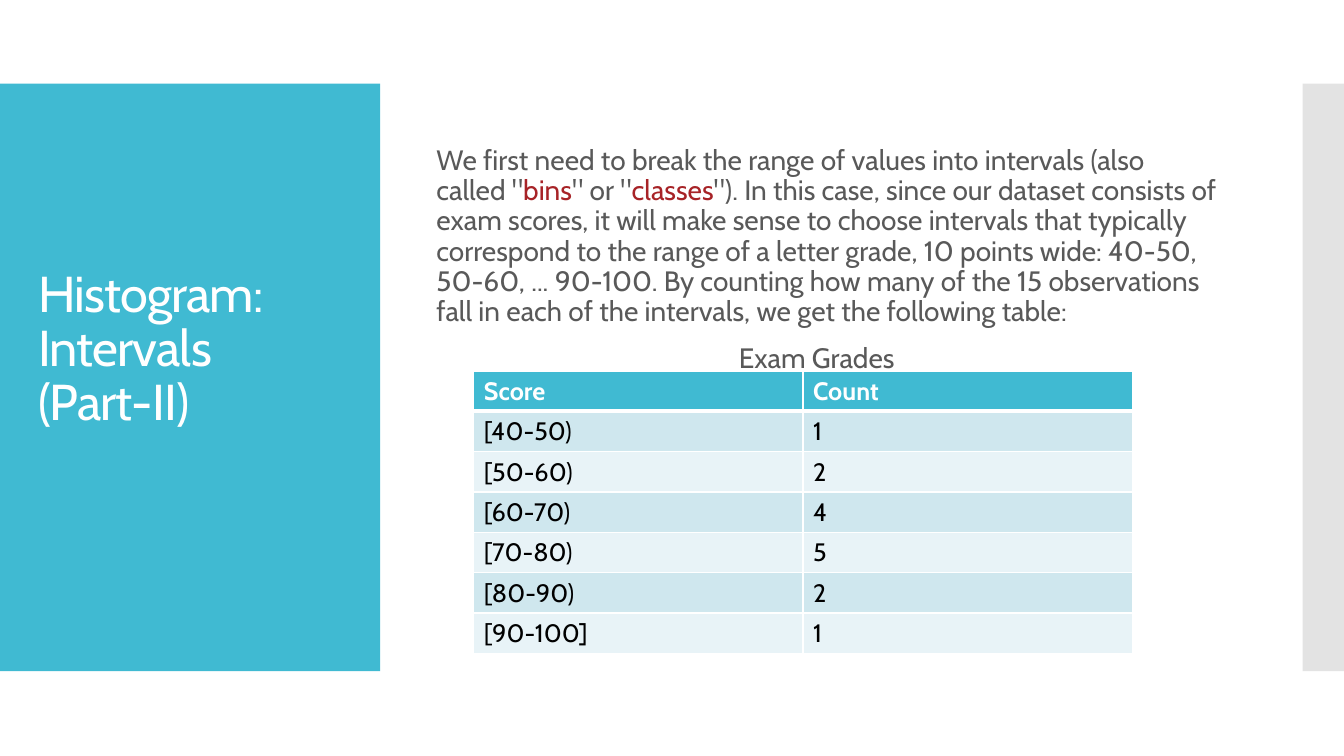
from lxml import etree
from pptx import Presentation
from pptx import util as u
from pptx.dml.color import RGBColor
from pptx.enum import shapes, text
from pptx.oxml.ns import qn

FONT = "Cabin"
TEAL, WHITE, BLACK = "40BAD2", "FFFFFF", "000000"
GREY, RED = "595959", "A72327"
BANDS = ["CFE7EE", "E8F3F7"]

PANELS = [  # left, width, colour
    (0, 3.77, TEAL),
    (12.92, 0.42, "E3E3E3"),
]
TITLE = "Histogram: Intervals\v(Part-II)"
INTRO = [
    ('We first need to break the range of values into intervals (also called "', GREY),
    ("bins", RED),
    ('" or "', GREY),
    ("classes", RED),
    ('"). In this case, since our dataset consists of exam scores, it will make '
     "sense to choose intervals that typically correspond to the range of a letter "
     "grade, 10 points wide: 40-50, 50-60, ... 90-100. By counting how many of the "
     "15 observations fall in each of the intervals, we get the following table:", GREY),
]
CAPTION = "Exam Grades"
GRADES = [
    ("Score", "Count"),
    ("[40-50)", "1"),
    ("[50-60)", "2"),
    ("[60-70)", "4"),
    ("[70-80)", "5"),
    ("[80-90)", "2"),
    ("[90-100]", "1"),
]


def rgb(colour):
    return RGBColor.from_string(colour)


def set_font(font, size, colour, bold=False):
    font.name, font.size, font.bold = FONT, u.Pt(size), bold
    font.color.rgb = rgb(colour)


def add_text_frame(slide, left, top, width, height, anchor):
    box = slide.shapes.add_textbox(*map(u.Inches, (left, top, width, height)))
    frame = box.text_frame
    frame.word_wrap = True
    frame.vertical_anchor = anchor
    return frame


def set_borders(cell, bottom):
    """Draw white cell borders, 1 pt except for the given bottom width."""
    props = cell._tc.get_or_add_tcPr()
    widths = {"a:lnL": 1, "a:lnR": 1, "a:lnT": 1, "a:lnB": bottom}
    for position, (tag, width) in enumerate(widths.items()):
        line = etree.Element(qn(tag), w=str(u.Pt(width)))
        fill = etree.SubElement(line, qn("a:solidFill"))
        etree.SubElement(fill, qn("a:srgbClr"), val=WHITE)
        props.insert(position, line)


def add_panels(slide):
    for left, width, colour in PANELS:
        panel = slide.shapes.add_shape(
            shapes.MSO_SHAPE.RECTANGLE, *map(u.Inches, (left, 0.83, width, 5.83)))
        panel.shadow.inherit = False
        panel.fill.solid()
        panel.fill.fore_color.rgb = rgb(colour)
        panel.line.fill.background()


def add_title(slide):
    frame = add_text_frame(slide, 0.28, 0.96, 3.22, 5.03, text.MSO_ANCHOR.MIDDLE)
    title = frame.paragraphs[0]
    title.text = TITLE
    title.line_spacing = 0.9
    set_font(title.font, 36, WHITE)
    for run in title.runs:
        run.font._element.set("spc", "-60")


def add_body(slide):
    frame = add_text_frame(slide, 4.23, 1.4, 7.96, 2.35, text.MSO_ANCHOR.TOP)
    intro = frame.paragraphs[0]
    intro.line_spacing = 0.9
    for words, colour in INTRO:
        run = intro.add_run()
        run.text = words
        set_font(run.font, 20, colour)

    caption = frame.add_paragraph()
    caption.text = CAPTION
    caption.line_spacing = 0.9
    caption.space_before = u.Pt(12)
    set_font(caption.font, 20, GREY)
    caption._p.get_or_add_pPr().set("marL", str(u.Inches(3)))


def add_grades(slide):
    grades = slide.shapes.add_table(
        len(GRADES), len(GRADES[0]), *map(u.Inches, (4.7, 3.68, 6.53, 2.8))).table
    for r, row in enumerate(GRADES):
        header = r == 0
        for c, value in enumerate(row):
            cell = grades.cell(r, c)
            cell.text = value
            set_font(cell.text_frame.paragraphs[0].font, 18,
                     WHITE if header else BLACK, header)
            cell.fill.solid()
            cell.fill.fore_color.rgb = rgb(TEAL if header else BANDS[(r - 1) % 2])
            set_borders(cell, 3 if header else 1)


def main():
    prs = Presentation()
    prs.slide_width, prs.slide_height = u.Inches(13.33), u.Inches(7.5)
    slide = prs.slides.add_slide(prs.slide_layouts[6])
    add_panels(slide)
    add_title(slide)
    add_body(slide)
    add_grades(slide)
    prs.save("out.pptx")


if __name__ == "__main__":
    main()
